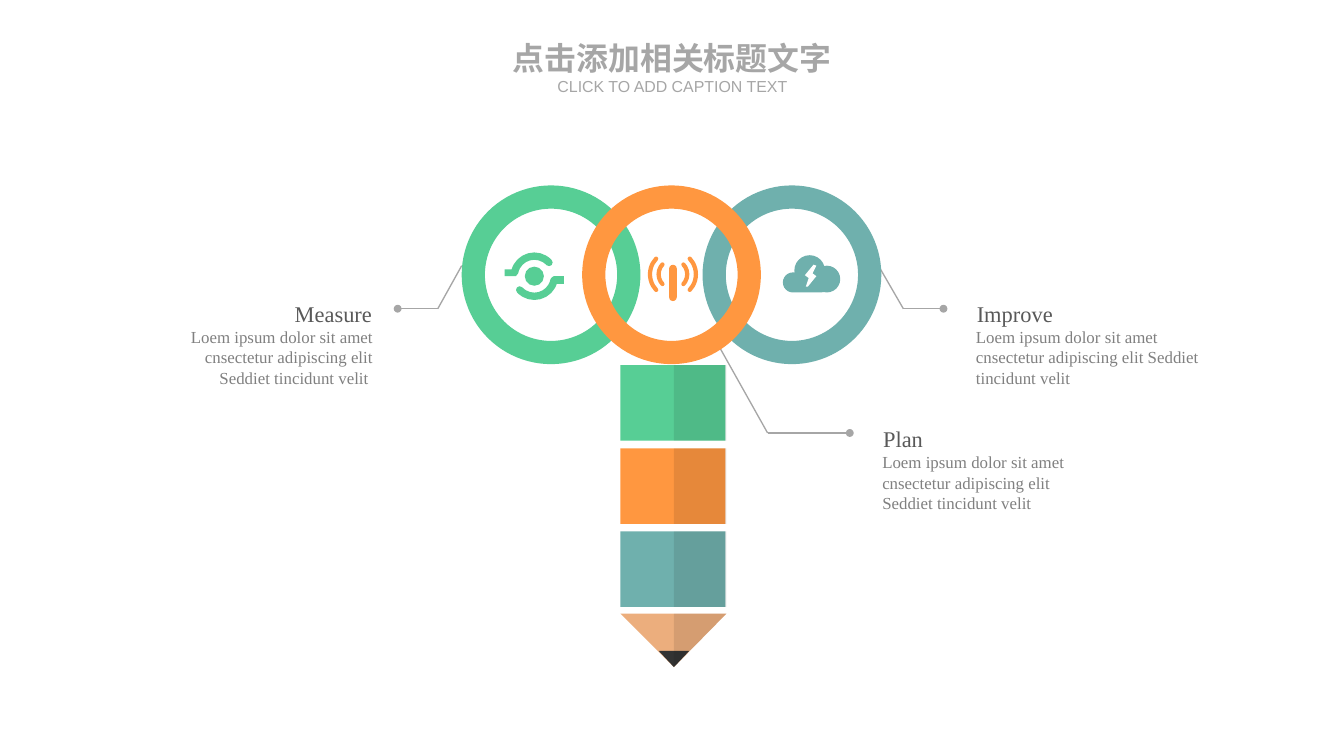
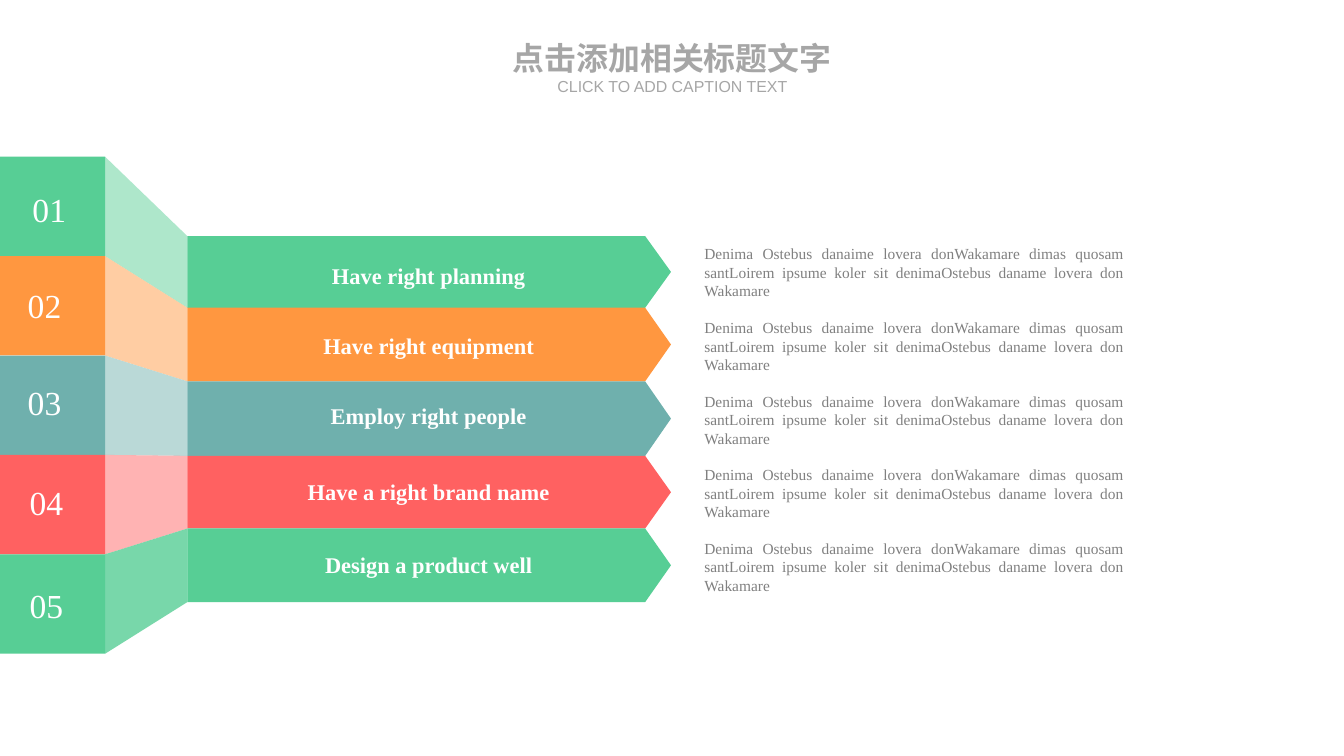
from pptx import Presentation
from pptx.dml.color import RGBColor
from pptx.enum import shapes, text
from pptx.oxml import ns, xmlchemy
from pptx.util import Inches, Pt
from lxml import etree

GREEN = RGBColor(0x57, 0xCE, 0x95)
ORANGE = RGBColor(0xFF, 0x97, 0x40)
TEAL = RGBColor(0x6F, 0xB0, 0xAD)
RED = RGBColor(0xFF, 0x61, 0x61)
MINT = RGBColor(0x9A, 0xE2, 0xBF)
PEACH = RGBColor(0xFF, 0xC1, 0x8C)
MIST = RGBColor(0xA9, 0xD0, 0xCE)
PINK = RGBColor(0xFF, 0xA0, 0xA0)
WOOD = RGBColor(0xEC, 0xAE, 0x7D)
LEAD = RGBColor(0x33, 0x33, 0x33)
SHADE = RGBColor(0x0D, 0x0D, 0x0D)
DARK = RGBColor(0x59, 0x59, 0x59)
GREY = RGBColor(0x80, 0x80, 0x80)
PALE = RGBColor(0xA6, 0xA6, 0xA6)
WHITE = RGBColor(0xFF, 0xFF, 0xFF)

SERIF, SANS = "Times New Roman", "Arial"
KIND = shapes.MSO_SHAPE
ALIGN = text.PP_ALIGN


def draw(page, kind, place, color, alpha=None):
    """Add a flat shape; place is a box, or corner points if kind is None."""
    if kind is None:
        pts = [(Inches(x), Inches(y)) for x, y in place]
        path = page.shapes.build_freeform(*pts[0])
        path.add_line_segments(pts[1:], close=True)
        form = path.convert_to_shape()
    else:
        form = page.shapes.add_shape(kind, *map(Inches, place))
    form.shadow.inherit = False
    form.line.fill.background()
    form.fill.solid()
    form.fill.fore_color.rgb = color
    if alpha:
        tint = form.element.spPr.find(".//" + ns.qn("a:srgbClr"))
        etree.SubElement(tint, ns.qn("a:alpha")).set("val", str(alpha * 1000))
    return form


def write(page, box, words, size, color, align=ALIGN.LEFT, font=SERIF,
          bold=False, inset=(0, 0)):
    frame = page.shapes.add_textbox(*map(Inches, box)).text_frame
    frame.word_wrap = True
    frame.margin_left = frame.margin_right = Inches(inset[0])
    frame.margin_top = frame.margin_bottom = Inches(inset[1])
    para = frame.paragraphs[0]
    para.text = words
    para.alignment = align
    para.font.size = Pt(size)
    para.font.name = font
    para.font.bold = bold
    para.font.color.rgb = color
    return frame


deck = Presentation()
deck.slide_width, deck.slide_height = Inches(14.06), Inches(7.91)
pencil, steps = [deck.slides.add_slide(deck.slide_layouts[6]) for _ in range(2)]

# Pencil slide: leader lines, each ending in a dot
leads = [
    [(4.83, 2.78), (4.58, 3.23), (4.16, 3.23)],
    [(7.52, 3.62), (8.03, 4.53), (8.89, 4.53)],
    [(9.19, 2.78), (9.45, 3.23), (9.87, 3.23)],
]
for start, bend, end in leads:
    for a, b in ((start, bend), (bend, end)):
        wire = pencil.shapes.add_connector(
            shapes.MSO_CONNECTOR.STRAIGHT, *map(Inches, a + b))
        wire.line.color.rgb = PALE
        wire.line.width = Pt(1)
        props = wire.element.spPr
        if b == end:
            tail = etree.SubElement(props.find(ns.qn("a:ln")), ns.qn("a:tailEnd"))
            tail.set("type", "oval")
        etree.SubElement(props, ns.qn("a:effectLst"))

# Captions: heading box left, body box left, body width, top, alignment
blurb = "Loem ipsum dolor sit amet cnsectetur adipiscing elit Seddiet tincidunt velit"
notes = [
    ("Improve", blurb, 10.12, 10.21, 2.47, 2.97, ALIGN.LEFT),
    ("Measure", blurb + " ", 2.47, 1.63, 2.27, 2.97, ALIGN.RIGHT),
    ("Plan", blurb, 9.14, 9.23, 2.26, 4.28, ALIGN.LEFT),
]
for head, body, left, x, wide, top, align in notes:
    write(pencil, (x, top + 0.45, wide, 0.64), body, 12.7, GREY, align)
    frame = write(pencil, (left, top, 1.52, 0.48), head, 16.9, DARK, align,
                  inset=(0.1, 0.05))
    frame.vertical_anchor = text.MSO_ANCHOR.MIDDLE
    frame.paragraphs[0].line_spacing = 1.5

# Pencil body and tip
for i, color in enumerate((GREEN, ORANGE, TEAL)):
    top = 3.82 + 0.87 * i
    draw(pencil, KIND.RECTANGLE, (6.49, top, 1.1, 0.79), color)
    draw(pencil, KIND.RECTANGLE, (7.05, top, 0.55, 0.79), SHADE, 10)
draw(pencil, None, [(6.49, 6.42), (7.6, 6.42), (7.05, 6.98)], WOOD)
draw(pencil, None, [(6.89, 6.81), (7.21, 6.81), (7.05, 6.98)], LEAD)
draw(pencil, None, [(7.05, 6.42), (7.6, 6.42), (7.05, 6.98)], SHADE, 10)

# Rings, the middle one on top
for x, color in ((7.35, TEAL), (4.83, GREEN), (6.09, ORANGE)):
    ring = draw(pencil, KIND.DONUT, (x, 1.94, 1.87, 1.87), color)
    ring.adjustments[0] = 0.13

# Solid parts of the three icons
parts = [
    (KIND.ROUNDED_RECTANGLE, (8.19, 2.85, 0.5, 0.21), TEAL),
    (KIND.OVAL, (8.31, 2.67, 0.32, 0.32), TEAL),
    (KIND.OVAL, (8.51, 2.78, 0.28, 0.28), TEAL),
    (KIND.OVAL, (5.49, 2.79, 0.2, 0.2), GREEN),
    (KIND.RECTANGLE, (5.28, 2.82, 0.12, 0.07), GREEN),
    (KIND.RECTANGLE, (5.79, 2.89, 0.11, 0.08), GREEN),
    (KIND.ROUNDED_RECTANGLE, (7, 2.77, 0.08, 0.38), ORANGE),
]
for kind, box, color in parts:
    part = draw(pencil, kind, box, color)
    if kind == KIND.ROUNDED_RECTANGLE:
        part.adjustments[0] = 0.5
bolt = [(8.51, 2.77), (8.54, 2.78), (8.5, 2.86), (8.54, 2.89),
        (8.45, 3), (8.43, 3), (8.46, 2.91), (8.42, 2.88)]
draw(pencil, None, bolt, WHITE)

# Icon arcs: centre, radius, start and end in degrees, weight
arcs = [
    (5.59, 2.89, 0.21, 191, 317, 5.5, GREEN),
    (5.59, 2.89, 0.21, 11, 137, 5.5, GREEN),
]
for r in (0.24, 0.15):
    for mid in (180, 360):
        arcs.append((7.04, 2.87, r, mid - 43, (mid + 43) % 360, 3.2, ORANGE))
for x, y, r, start, end, weight, color in arcs:
    arc = draw(pencil, KIND.ARC, (x - r, y - r, 2 * r, 2 * r), color)
    arc.fill.background()
    arc.line.color.rgb = color
    arc.line.width = Pt(weight)
    arc.element.spPr.find(ns.qn("a:ln")).set("cap", "rnd")
    # Angles are stored in 60000ths of a degree, adjustments in 100000ths
    arc.adjustments[0], arc.adjustments[1] = start * 0.6, end * 0.6

# Steps slide: label, colour, fold colour, number left and top, label top
rows = [
    ("Have right planning", GREEN, MINT, 0.27, 1.94, 2.74),
    ("Have right equipment", ORANGE, PEACH, 0.22, 2.94, 3.47),
    ("Employ right people", TEAL, MIST, 0.22, 3.96, 4.21),
    ("Have a right brand name", RED, PINK, 0.24, 5, 5),
    ("Design a product well", GREEN, GREEN, 0.24, 6.08, 5.77),
]
edges = [2.47, 3.22, 3.99, 4.77, 5.53, 6.3]
detail = ("Denima Ostebus danaime lovera donWakamare dimas quosam santLoirem ipsume "
          "koler sit denimaOstebus daname lovera don Wakamare")
for i, (label, color, fold, x, y, line) in enumerate(rows):
    top = 1.64 + 1.04 * i
    low = top + 1.04
    high, base = edges[i:i + 2]
    draw(steps, None, [(1.1, top), (1.96, high), (1.96, base), (1.1, low)], fold, 80)
    draw(steps, KIND.RECTANGLE, (0, top, 1.1, 1.04), color)
    draw(steps, None, [(1.96, high), (6.75, high), (7.02, (high + base) / 2),
                       (6.75, base), (1.96, base)], color)
    write(steps, (x, y, 0.63, 0.5), f"{i + 1:02}", 25.3, WHITE, inset=(0.07, 0.04))
    write(steps, (3.16, line, 2.65, 0.28), label, 16.9, WHITE, ALIGN.CENTER, bold=True)
    write(steps, (7.27, 2.51 + 0.77 * i, 4.59, 0.69), detail, 11.6, GREY,
          ALIGN.JUSTIFY, inset=(0.1, 0.05))

# Heading shared by both slides
for page in (pencil, steps):
    write(page, (5.27, 0.4, 3.52, 0.4), "点击添加相关标题文字", 24, PALE,
          ALIGN.CENTER, SANS, True)
    write(page, (5.59, 0.8, 2.89, 0.2), "CLICK TO ADD CAPTION TEXT", 12, PALE,
          ALIGN.CENTER, SANS)

deck.save("out.pptx")
